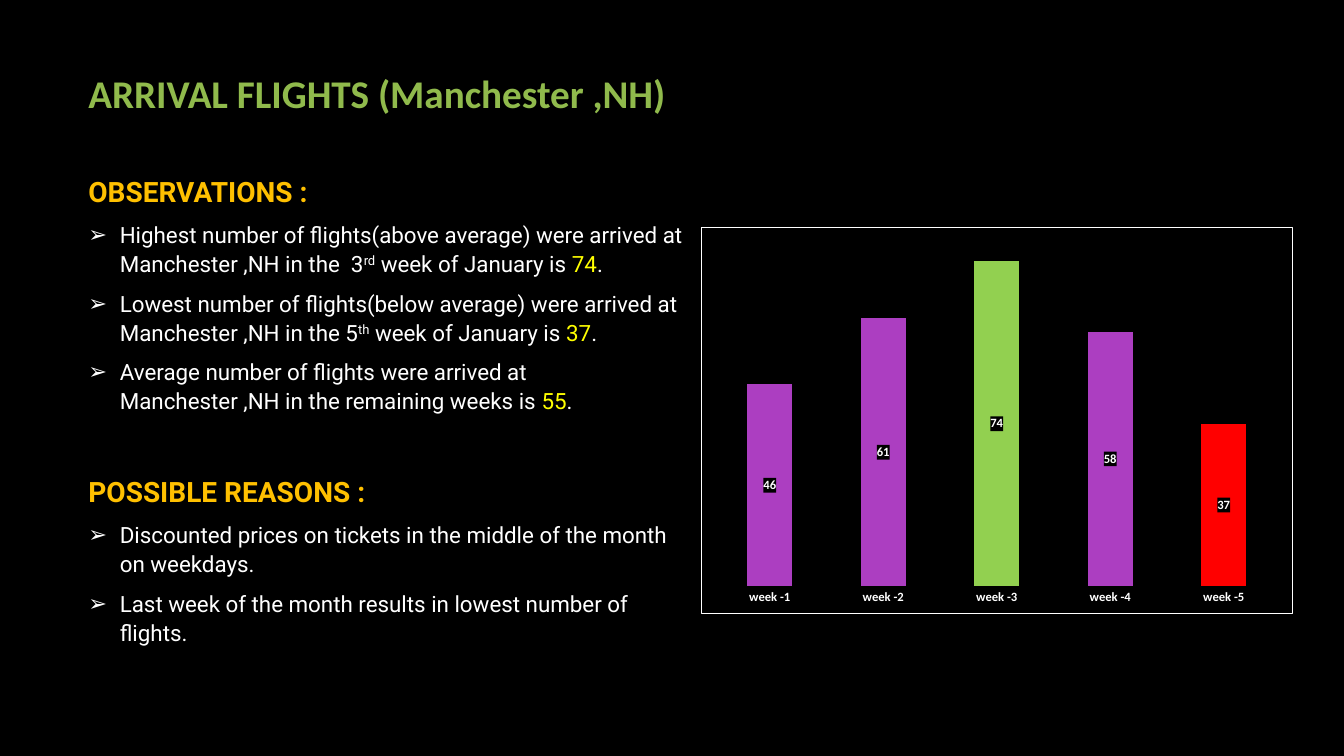
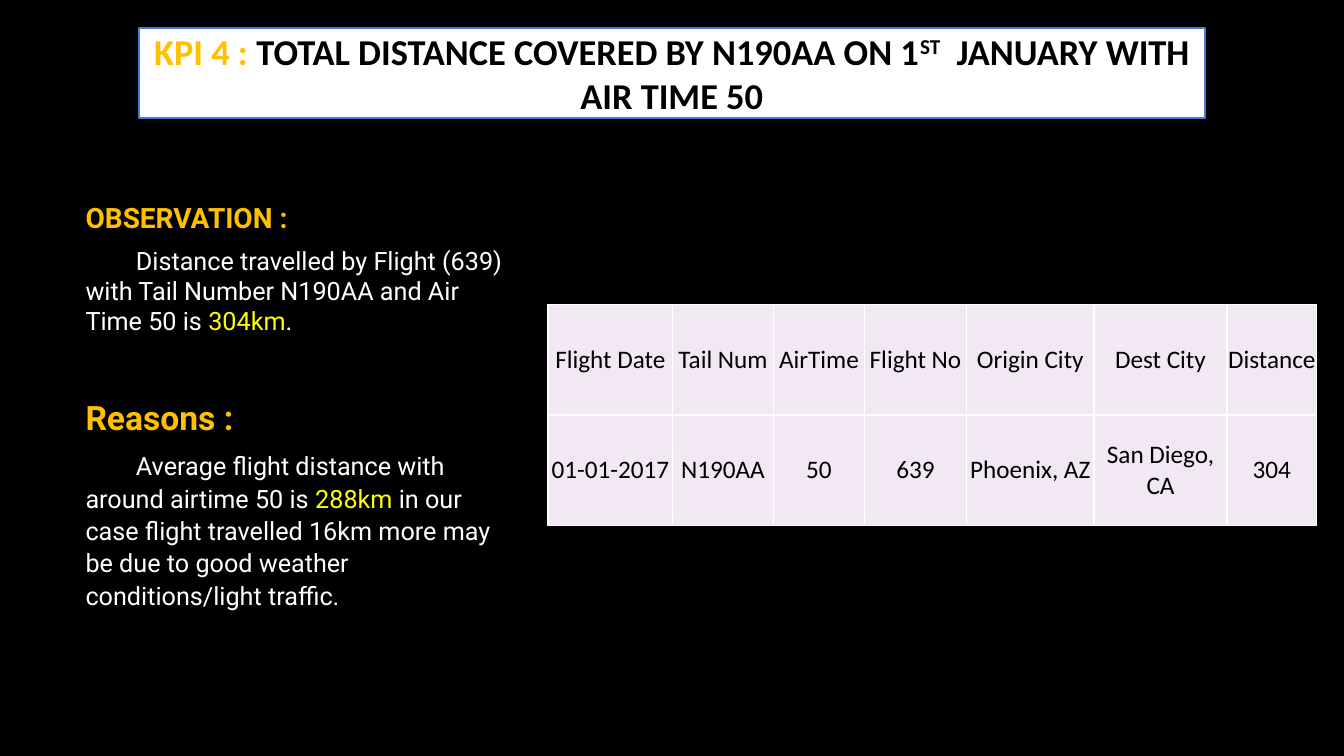
from lxml.etree import SubElement
from pptx import Presentation
from pptx.chart.data import CategoryChartData
from pptx.dml.color import RGBColor
from pptx.enum.chart import XL_CHART_TYPE as CT, XL_LABEL_POSITION as LP, XL_TICK_MARK as TM
from pptx.enum.text import MSO_ANCHOR as MA, MSO_AUTO_SIZE as AS, PP_ALIGN as PA
from pptx.oxml import parse_xml
from pptx.oxml.ns import nsdecls, qn
from pptx.util import Pt

BLACK, WHITE, GOLD, YELLOW = "000000", "FFFFFF", "FFC000", "FFFF00"
OLIVE, BLUE, LILAC = "90BA4C", "477BD1", "F1E8F4"
PURPLE, GREEN, RED = "AC3EC1", "92D050", "FF0000"
HEAD_FONT, BODY_FONT = "Calibri", "Roboto"


def rgb(color):
    """Turn a hex string into a colour."""
    return RGBColor.from_string(color)


def style(font, size, color, name=HEAD_FONT, bold=False):
    """Set the main properties of a font."""
    font.size, font.name, font.bold = Pt(size), name, bold
    font.color.rgb = rgb(color)


def add_runs(p, runs, size, name, bold=False):
    """Fill a paragraph from (text, colour) pairs, "^" marking superscript and "\\n" a break."""
    for text, color in runs:
        if text == "\n":
            p.add_line_break()
            SubElement(p._p[-1], qn("a:rPr")).set("sz", str(size * 100))
            continue
        r = p.add_run()
        r.text = text.lstrip("^")
        style(r.font, size, color, name, bold)
        if text.startswith("^"):
            r._r.get_or_add_rPr().set("baseline", "30000")


def add_title(s, box, runs, size, align=PA.LEFT, anchor=MA.TOP):
    """Place and format the title placeholder."""
    title = s.shapes.title
    title.left, title.top, title.width, title.height = map(Pt, box)
    tf = title.text_frame
    tf.word_wrap, tf.auto_size, tf.vertical_anchor = True, AS.NONE, anchor
    p = tf.paragraphs[0]
    p.alignment = align
    add_runs(p, runs, size, HEAD_FONT, True)
    return title


def add_bullet(p):
    """Give a paragraph a hanging arrow bullet."""
    pPr = p._p.get_or_add_pPr()
    pPr.set("marL", str(Pt(22.5)))
    pPr.set("indent", str(-Pt(22.5)))
    SubElement(SubElement(pPr, qn("a:buClr")), qn("a:srgbClr")).set("val", WHITE)
    SubElement(pPr, qn("a:buFont")).set("typeface", "Arial")
    SubElement(pPr, qn("a:buChar")).set("char", "➢")


def add_notes_column(s, box, sections, size, bullets):
    """Write sections of (heading, heading size, gap, spacing, after, items)."""
    tf = s.shapes.add_textbox(*map(Pt, box)).text_frame
    tf.word_wrap, tf.auto_size = True, AS.NONE
    p = tf.paragraphs[0]
    for heading, head_size, gap, spacing, after, items in sections:
        if p.runs:
            p = tf.add_paragraph()
        p.line_spacing, p.space_before, p.space_after = 1.07, Pt(gap), Pt(8)
        add_runs(p, [(heading, GOLD)], head_size, BODY_FONT, True)
        for runs in items:
            p = tf.add_paragraph()
            p.line_spacing, p.space_after = spacing, Pt(after)
            if bullets:
                add_bullet(p)
            else:
                p._p.get_or_add_pPr().set("indent", str(Pt(36)))
            add_runs(p, runs, size, BODY_FONT)


def add_week_chart(s, box, values, highlights):
    """Draw the framed weekly columns, some in a colour of their own."""
    data = CategoryChartData()
    data.categories = [f"week -{i + 1}" for i in range(len(values))]
    data.add_series("Series 1", values)
    chart = s.shapes.add_chart(CT.COLUMN_STACKED, *map(Pt, box), data).chart
    chart.has_legend = chart.has_title = False
    style(chart.font, 10, WHITE)
    chart._chartSpace.find(qn("c:txPr")).addprevious(parse_xml(
        f'<c:spPr {nsdecls("c", "a")}><a:noFill/><a:ln w="{Pt(0.75)}"><a:solidFill>'
        f'<a:srgbClr val="{WHITE}"/></a:solidFill></a:ln></c:spPr>'))
    cat, val = chart.category_axis, chart.value_axis
    cat.major_tick_mark = TM.NONE
    cat.format.line.fill.background()
    style(cat.tick_labels.font, 9, WHITE, bold=True)
    val.minimum_scale, val.maximum_scale = 0, 80
    val.has_major_gridlines = val.visible = False
    plot = chart.plots[0]
    plot.gap_width, plot.overlap, plot.vary_by_categories = 150, 100, False
    ser = plot.series[0]
    ser.format.fill.solid()
    ser.format.fill.fore_color.rgb = rgb(PURPLE)
    for i, color in highlights.items():
        fill = ser.points[i].format.fill
        fill.solid()
        fill.fore_color.rgb = rgb(color)
    labels = ser.data_labels
    labels.show_value, labels.position = True, LP.CENTER
    style(labels.font, 9, WHITE, bold=True)
    labels._element.find(qn("c:txPr")).addprevious(parse_xml(
        f'<c:spPr {nsdecls("c", "a")}><a:solidFill><a:srgbClr val="{BLACK}"/>'
        '</a:solidFill></c:spPr>'))
    area = chart._chartSpace.chart.plotArea
    for old in area.findall(qn("c:layout")):
        area.remove(old)
    layout = parse_xml(f'<c:layout {nsdecls("c")}><c:manualLayout/></c:layout>')
    for tag, value in [("layoutTarget", "inner"), ("xMode", "edge"), ("yMode", "edge"),
                       ("x", 0.02), ("y", 0.02), ("w", 0.96), ("h", 0.91)]:
        SubElement(layout[0], qn(f"c:{tag}")).set("val", str(value))
    area.insert(0, layout)


def add_borders(cell):
    """Draw a thin white line on each side of a cell."""
    tcPr = cell._tc.get_or_add_tcPr()
    for side in "LRTB":
        ln = SubElement(tcPr, qn(f"a:ln{side}"), w=str(Pt(1)))
        SubElement(SubElement(ln, qn("a:solidFill")), qn("a:srgbClr")).set("val", WHITE)


def add_flight_table(s, left, top, widths, row_height, rows):
    """Draw the table of flight details."""
    size = sum(widths), row_height * len(rows)
    table = s.shapes.add_table(len(rows), len(widths), *map(Pt, (left, top, *size))).table
    table.first_row = table.horz_banding = False
    for col, width in zip(table.columns, widths):
        col.width = Pt(width)
    for i, row in enumerate(rows):
        for j, text in enumerate(row):
            cell = table.cell(i, j)
            add_borders(cell)
            cell.fill.solid()
            cell.fill.fore_color.rgb = rgb(LILAC)
            cell.margin_left = cell.margin_right = cell.margin_top = cell.margin_bottom = 0
            cell.vertical_anchor = MA.MIDDLE
            p = cell.text_frame.paragraphs[0]
            p.text, p.alignment = text, PA.CENTER
            style(p.runs[0].font, 18, BLACK)


def build_arrivals(s):
    """Build the slide on arrivals by week."""
    add_title(s, (56, 46, 430, 41), [("ARRIVAL FLIGHTS (Manchester ,NH)", OLIVE)], 28)
    observations = [
        [("Highest number of flights(above average) were arrived at "
          "Manchester ,NH in the  3", WHITE), ("^rd", WHITE),
         (" week of January is ", WHITE), ("74", YELLOW), (".", WHITE)],
        [("Lowest number of flights(below average) were arrived at "
          "Manchester ,NH in the 5", WHITE), ("^th", WHITE),
         (" week of January is ", WHITE), ("37", YELLOW), (".", WHITE)],
        [("Average number of flights were arrived at", WHITE), ("\n", WHITE),
         ("Manchester ,NH in the remaining weeks is ", WHITE),
         ("55", YELLOW), (".", WHITE)]]
    reasons = [
        [("Discounted prices on tickets in the middle of the month on weekdays.", WHITE)],
        [("Last week of the month results in lowest number of flights.", WHITE)]]
    add_notes_column(s, (56, 119.5, 444, 375), [
        ("OBSERVATIONS :", 20, 0, 1.07, 8, observations),
        ("POSSIBLE REASONS :", 20, 33.5, 1.07, 8, reasons)], 16, True)
    add_week_chart(s, (500.5, 162, 423, 276.5), (46, 61, 74, 58, 37), {2: GREEN, 4: RED})


def build_distance(s):
    """Build the slide on the distance of one flight."""
    title = add_title(s, (99.5, 20, 761, 64), [
        ("KPI 4 : ", GOLD), ("TOTAL DISTANCE COVERED BY N190AA ON 1", BLACK),
        ("^ST", BLACK), ("  JANUARY WITH AIR TIME 50", BLACK)], 26, PA.CENTER, MA.MIDDLE)
    title.fill.solid()
    title.fill.fore_color.rgb = rgb(WHITE)
    title.line.color.rgb, title.line.width = rgb(BLUE), Pt(1.5)
    observation = [("Distance travelled by Flight (639) with Tail Number N190AA "
                    "and Air Time 50 is ", WHITE), ("304km", YELLOW), (".", WHITE)]
    reason = [("Average flight distance with around airtime 50 is ", WHITE),
              ("288km", YELLOW),
              (" in our case flight travelled 16km more may be due to good weather "
               "conditions/light traffic.", WHITE)]
    add_notes_column(s, (54, 138, 322, 309), [
        ("OBSERVATION :", 20, 0, 1, 10, [observation]),
        ("Reasons :", 24, 31.5, 1.07, 8, [reason])], 18, False)
    add_flight_table(s, 391.5, 217.5, (89, 72, 65, 73, 91, 95, 64), 79, [
        ("Flight Date", "Tail Num", "AirTime", "Flight No", "Origin City",
         "Dest City", "Distance"),
        ("01-01-2017", "N190AA", "50", "639", "Phoenix, AZ", "San Diego, CA", "304")])


def main():
    """Build and save the presentation."""
    prs = Presentation()
    prs.slide_width, prs.slide_height = Pt(960), Pt(540)
    fill = prs.slide_master.background.fill
    fill.solid()
    fill.fore_color.rgb = rgb(BLACK)
    for build in (build_arrivals, build_distance):
        build(prs.slides.add_slide(prs.slide_layouts[5]))
    prs.save("out.pptx")


if __name__ == "__main__":
    main()
